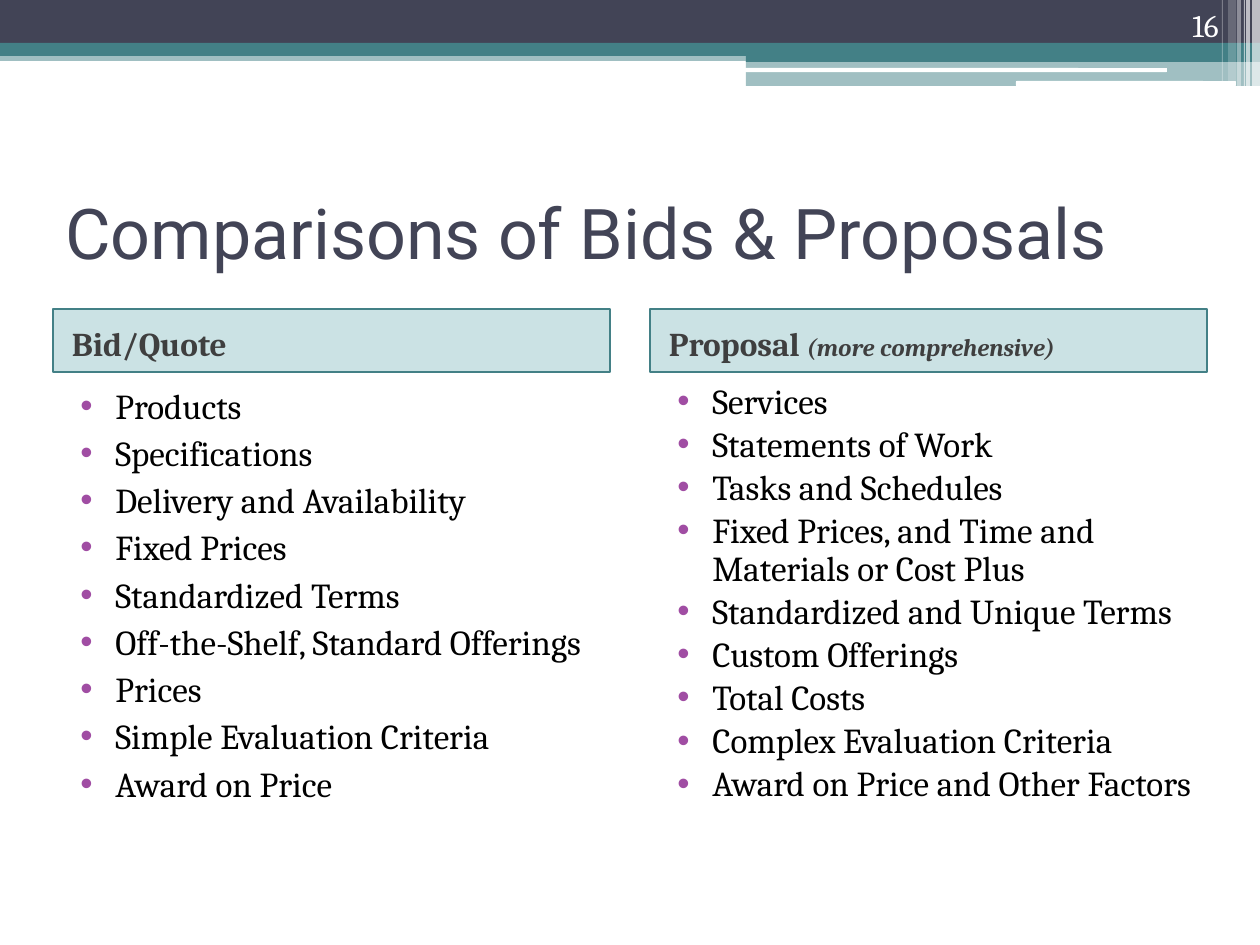
from lxml import etree
from pptx import Presentation
from pptx.dml.color import RGBColor
from pptx.enum.shapes import MSO_SHAPE
from pptx.enum.text import MSO_ANCHOR, PP_ALIGN
from pptx.oxml.ns import qn
from pptx.util import Emu, Pt

RECTANGLE = MSO_SHAPE.RECTANGLE
ROUNDED = MSO_SHAPE.ROUNDED_RECTANGLE
MIDDLE = MSO_ANCHOR.MIDDLE
TOP = MSO_ANCHOR.TOP
BOTTOM = MSO_ANCHOR.BOTTOM
RIGHT = PP_ALIGN.RIGHT

EMU_PER_PX = 914400 / 126
COLORS = {
    "slate": "424456",
    "teal": "438086",
    "heading_fill": "328E97",
    "heading_text": "3F3F3F",
    "bullet": "A04DA3",
    "body": "000000",
    "white": "FFFFFF",
}
TITLE = {"name": "Roboto", "size": Pt(40)}
HEADING = {"name": "Cambria", "size": Pt(19), "bold": True}
HEADING_NOTE = {"name": "Cambria", "size": Pt(14), "bold": True, "italic": True}
BODY = {"name": "Cambria", "size": Pt(20)}
PAGE_NUMBER = {"name": "Cambria", "size": Pt(18)}

COLUMNS = [
    (53, [("Bid/Quote", HEADING)], 1.0, [
        "Products",
        "Specifications",
        "Delivery and Availability",
        "Fixed Prices",
        "Standardized Terms",
        "Off-the-Shelf, Standard Offerings",
        "Prices",
        "Simple Evaluation Criteria",
        "Award on Price",
    ]),
    (650, [("Proposal ", HEADING), ("(more comprehensive)", HEADING_NOTE)], 0.9, [
        "Services",
        "Statements of Work",
        "Tasks and Schedules",
        "Fixed Prices, and Time and Materials or Cost Plus",
        "Standardized and Unique Terms",
        "Custom Offerings",
        "Total Costs",
        "Complex Evaluation Criteria",
        "Award on Price and Other Factors",
    ]),
]


def px(length):
    return Emu(round(length * EMU_PER_PX))


def color(name):
    return RGBColor.from_string(COLORS[name])


def set_all(target, values):
    for name, value in values.items():
        setattr(target, name, value)


def add_run(paragraph, text, style, color_name):
    run = paragraph.add_run()
    run.text = text
    set_all(run.font, style)
    run.font.color.rgb = color(color_name)


def add_block(slide, box, fill, opacity=100, kind=RECTANGLE):
    shape = slide.shapes.add_shape(kind, *map(px, box))
    shape.shadow.inherit = False
    shape.fill.solid()
    shape.fill.fore_color.rgb = color(fill)
    shape.line.fill.background()
    if opacity < 100:
        color_element = shape.fill._xPr.find(qn("a:solidFill"))[0]
        etree.SubElement(color_element, qn("a:alpha"), val=str(opacity * 1000))
    return shape


def add_text_box(slide, box, anchor):
    frame = slide.shapes.add_textbox(*map(px, box)).text_frame
    set_all(frame, {"word_wrap": True, "vertical_anchor": anchor})
    return frame


def add_bullet(paragraph):
    properties = paragraph._p.get_or_add_pPr()
    properties.set("marL", str(px(50)))
    properties.set("indent", str(-px(35)))
    bullet_color = etree.SubElement(properties, qn("a:buClr"))
    etree.SubElement(bullet_color, qn("a:srgbClr"), val=COLORS["bullet"])
    etree.SubElement(properties, qn("a:buFont"), typeface="Arial")
    etree.SubElement(properties, qn("a:buChar"), char="•")


def add_header(slide, left, top, width):
    accent = 746
    bands = [
        (0, 50, 11, "teal", 50),
        (0, 0, 43, "slate", 100),
        (0, 43, 13, "teal", 100),
        (accent, 49, 13, "teal", 100),
        (accent, 61, 25, "teal", 50),
    ]
    for offset, drop, height, fill, opacity in bands:
        add_block(slide, (left + offset, top + drop, width - offset, height), fill, opacity)
    for offset, drop, length, height in [(745, 68, 422, 4), (1016, 81, 220, 5)]:
        add_block(slide, (left + offset, top + drop, length, height), "white", kind=ROUNDED)
    stripes = [
        (1252, 8, 86, 65),
        (1246, 4, 86, 65),
        (1244, 1, 86, 60),
        (1237, 4, 86, 40),
        (1228, 8, 81, 20),
        (1222, 1, 81, 30),
    ]
    for offset, thickness, height, opacity in stripes:
        add_block(slide, (left + offset, top, thickness, height), "white", opacity)


def add_title(slide, box):
    frame = add_text_box(slide, box, MIDDLE)
    add_run(frame.paragraphs[0], "Comparisons of Bids & Proposals", TITLE, "slate")


def add_column(slide, left, top, width, heading_runs, line_spacing, items):
    heading = add_block(slide, (left, top, width, 63), "heading_fill", 25)
    heading.line.color.rgb = color("teal")
    heading.line.width = Pt(1)
    frame = heading.text_frame
    set_all(frame, {
        "word_wrap": True,
        "vertical_anchor": MIDDLE,
        "margin_left": px(19),
        "margin_top": px(11),
    })
    paragraph = frame.paragraphs[0]
    paragraph.alignment = PP_ALIGN.LEFT
    for text, style in heading_runs:
        add_run(paragraph, text, style, "heading_text")

    frame = add_text_box(slide, (left, top + 64, width, 536), TOP)
    frame.margin_top = px(11)
    for index, item in enumerate(items):
        paragraph = frame.add_paragraph() if index else frame.paragraphs[0]
        add_bullet(paragraph)
        set_all(paragraph, {
            "line_spacing": line_spacing,
            "space_before": Pt(3 if index else 0),
        })
        add_run(paragraph, item, BODY, "body")


def add_page_number(slide, box):
    frame = add_text_box(slide, box, BOTTOM)
    paragraph = frame.paragraphs[0]
    paragraph.alignment = RIGHT
    add_run(paragraph, "16", PAGE_NUMBER, "white")


def main():
    presentation = Presentation()
    set_all(presentation, {"slide_width": px(1260), "slide_height": px(945)})
    slide = presentation.slides.add_slide(presentation.slide_layouts[6])
    add_header(slide, 0, 0, 1260)
    add_title(slide, (53, 158, 1155, 147))
    for left, heading_runs, line_spacing, items in COLUMNS:
        add_column(slide, left, 309, 557, heading_runs, line_spacing, items)
    add_page_number(slide, (1126, 0, 105, 50))
    presentation.save("out.pptx")


if __name__ == "__main__":
    main()
